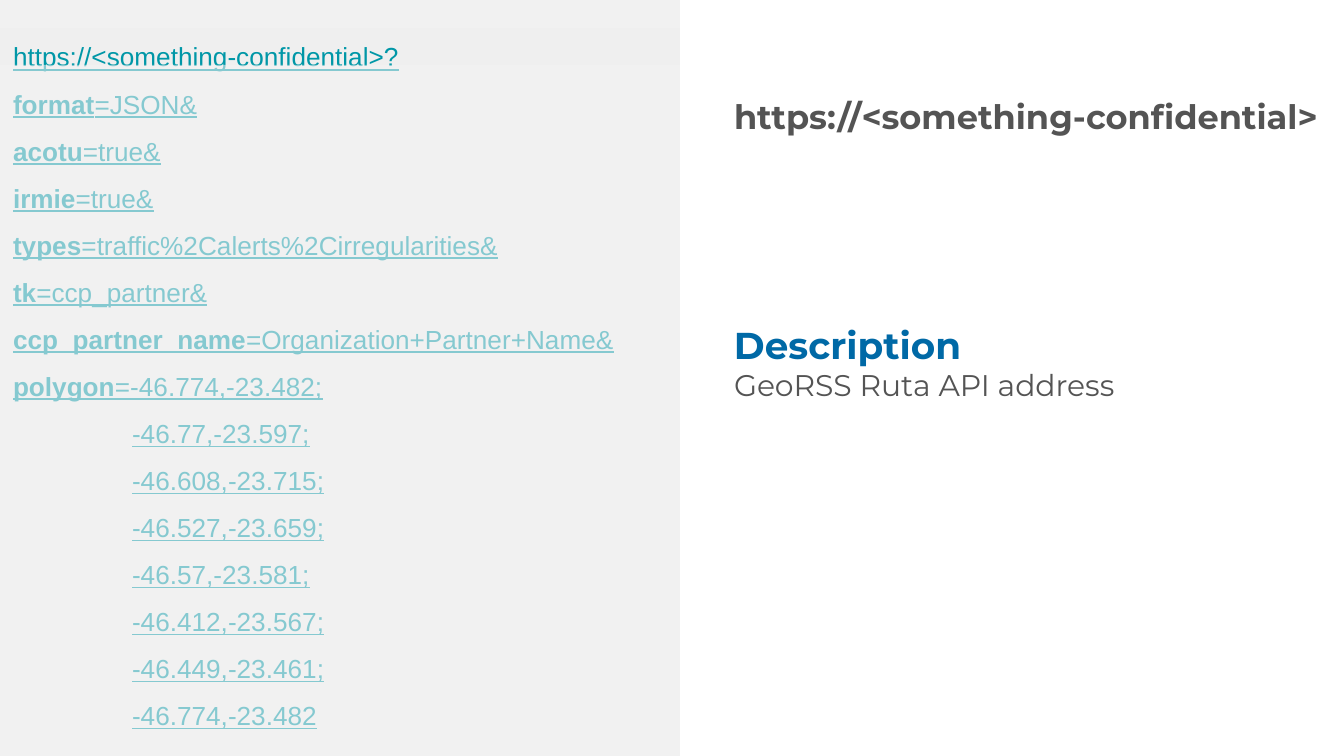
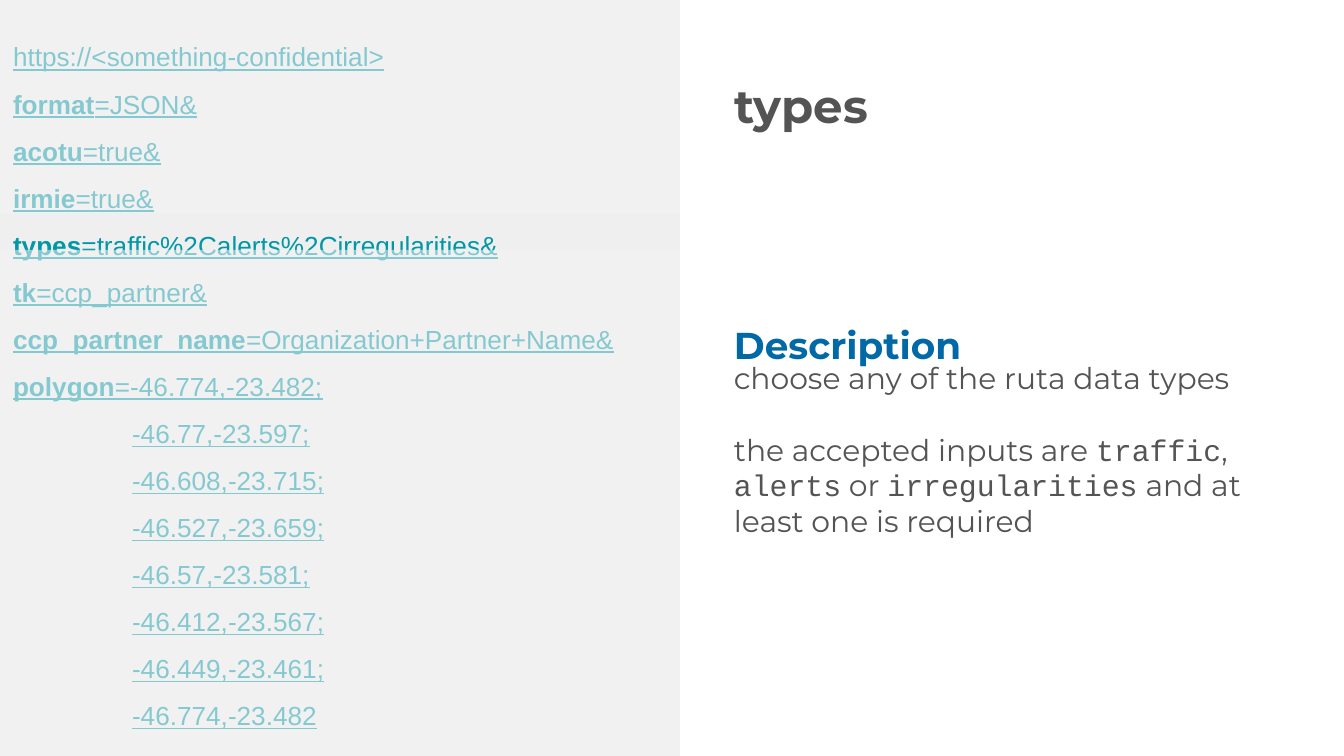
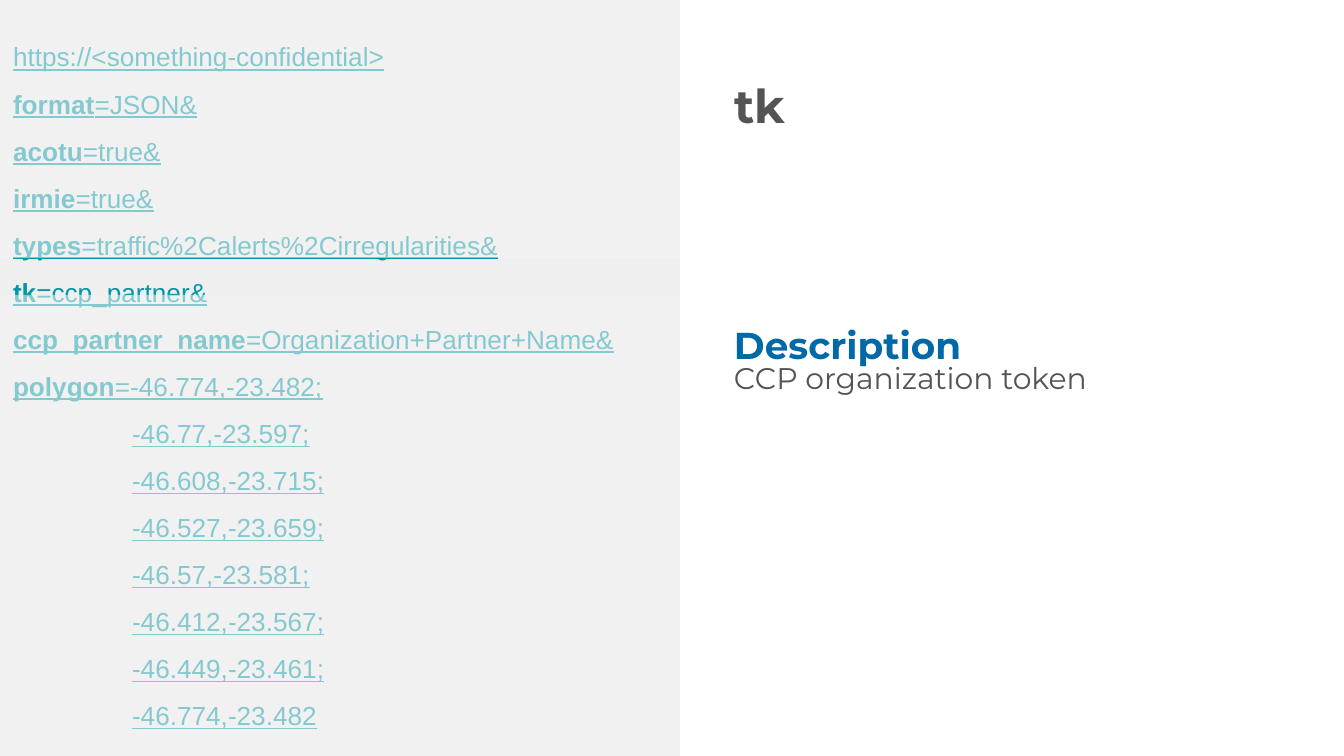
from lxml import etree
from pptx import Presentation, util as u
from pptx.dml.color import RGBColor
from pptx.enum import shapes, text as t
from pptx.oxml.ns import qn

COLORS = {"panel": "EFEFEF", "veil": "F3F3F3", "link": "0097A7",
          "body": "545454", "heading": "0069A6"}
SANS, LINK, CODE = "Montserrat", "Arial", "Courier New"
PAGE_WIDTH, PAGE_HEIGHT = 1344, 756
PANEL = (0, 0, 680, PAGE_HEIGHT)
INSET, POINT_INDENT = 13, 119
WINDOW_HEIGHT, UPPER_VEIL_HEIGHT = 37, 773

PARAMETERS = ["format=JSON&", "acotu=true&", "irmie=true&",
              "types=traffic%2Calerts%2Cirregularities&", "tk=ccp_partner&",
              "ccp_partner_name=Organization+Partner+Name&",
              "polygon=-46.774,-23.482;"]
POINTS = ["-46.77,-23.597;", "-46.608,-23.715;", "-46.527,-23.659;",
          "-46.57,-23.581;", "-46.412,-23.567;", "-46.449,-23.461;",
          "-46.774,-23.482"]
ADDRESS = "https://<something-confidential>"

PAGES = [
    {"address": ADDRESS + "?", "window": 28, "title": ADDRESS,
     "title_size": 18, "title_top": 54, "body_top": 354, "body_size": (569, 117),
     "body": ["GeoRSS Ruta API address"]},
    {"address": ADDRESS, "window": 213, "title": "types",
     "title_size": 25, "title_top": 43, "body_top": 347, "body_size": (594, 352),
     "body": ["choose any of the ruta data types",
              "the accepted inputs are `traffic`, `alerts` or "
              "`irregularities` and at least one is required"]},
    {"address": ADDRESS, "window": 258, "title": "tk",
     "title_size": 25, "title_top": 43, "body_top": 347, "body_size": (594, 352),
     "body": ["CCP organization token"]},
]


def px(length):
    """Turn pixels into EMU."""
    return u.Emu(round(length * 914400 / 134.4))


def add_span(para, text, size=16, font=SANS, color="body", bold=False, underline=False):
    """Add a formatted run to a paragraph."""
    span = para.add_run()
    span.text = text
    span.font.size = u.Pt(size)
    span.font.name = font
    span.font.bold = bold
    span.font.underline = underline
    span.font.color.rgb = RGBColor.from_string(COLORS[color])


def set_frame(shape, anchor=t.MSO_ANCHOR.TOP):
    """Give a shape's text wrapping, equal insets and an anchor."""
    frame = shape.text_frame
    frame.word_wrap = True
    frame.auto_size = t.MSO_AUTO_SIZE.NONE
    frame.vertical_anchor = anchor
    frame.margin_left = frame.margin_right = px(INSET)
    frame.margin_top = frame.margin_bottom = px(INSET)
    return frame


def next_para(frame, index):
    """Return the first paragraph of a frame, or a new one."""
    return frame.add_paragraph() if index else frame.paragraphs[0]


def add_box(page, box):
    """Add a wrapping text box and return its frame."""
    return set_frame(page.shapes.add_textbox(*map(px, box)))


def add_rectangle(page, box, color, opacity=None):
    """Add a flat rectangle without outline."""
    rectangle = page.shapes.add_shape(shapes.MSO_SHAPE.RECTANGLE, *map(px, box))
    rectangle.shadow.inherit = False
    rectangle.line.fill.background()
    rectangle.fill.solid()
    rectangle.fill.fore_color.rgb = RGBColor.from_string(COLORS[color])
    if opacity is not None:
        tint = rectangle.fill._xPr.find(".//" + qn("a:srgbClr"))
        etree.SubElement(tint, qn("a:alpha"), val=str(opacity * 1000))
    return rectangle


def add_request(page, box, address):
    """Add the panel that lists the request line by line."""
    frame = set_frame(add_rectangle(page, box, "panel"), t.MSO_ANCHOR.MIDDLE)
    style = {"size": 14, "font": LINK, "color": "link", "underline": True}
    for index, line in enumerate([address] + PARAMETERS + POINTS):
        para = next_para(frame, index)
        para.alignment = t.PP_ALIGN.JUSTIFY
        para.line_spacing = 1.5
        key, equals, value = line.partition("=")
        add_span(para, key, bold=bool(equals), **style)
        if equals:
            add_span(para, equals + value, **style)
        if line in POINTS:
            para._p.get_or_add_pPr().set("marL", str(px(POINT_INDENT)))


def add_veils(page, box, window):
    """Slide one veil below and one above the line in focus."""
    left, top, width, height = box
    window += top
    add_rectangle(page, (left, window + WINDOW_HEIGHT, width, height), "veil", 55)
    add_rectangle(page, (left, window - UPPER_VEIL_HEIGHT, width, UPPER_VEIL_HEIGHT),
                  "veil", 55)


def add_title(page, box, text, size):
    """Place and format the title placeholder."""
    title = page.shapes.title
    title.left, title.top, title.width, title.height = map(px, box)
    para = set_frame(title, t.MSO_ANCHOR.MIDDLE).paragraphs[0]
    para.alignment = t.PP_ALIGN.LEFT
    add_span(para, text, size=size, bold=True)


def add_description(page, left, body_top, body_size, body):
    """Add the description heading and its paragraphs."""
    heading = add_box(page, (left, 309, 305, 67))
    add_span(heading.paragraphs[0], "Description", size=20, color="heading", bold=True)
    frame = add_box(page, (left, body_top, *body_size))
    for index, text in enumerate(body):
        para = next_para(frame, index)
        if index:
            para.space_before = u.Pt(19)
        for order, part in enumerate(text.split("`")):
            add_span(para, part, font=CODE if order % 2 else SANS)


def add_page(deck, content):
    """Build one slide: request on the left, explanation on the right."""
    page = deck.slides.add_slide(deck.slide_layouts[5])
    left = PANEL[2] + 41
    add_request(page, PANEL, content["address"])
    add_title(page, (left, content["title_top"], PAGE_WIDTH - left, 124),
              content["title"], content["title_size"])
    add_description(page, left, content["body_top"], content["body_size"],
                    content["body"])
    add_veils(page, PANEL, content["window"])


def main():
    """Build and save the deck."""
    deck = Presentation()
    deck.slide_width, deck.slide_height = px(PAGE_WIDTH), px(PAGE_HEIGHT)
    for content in PAGES:
        add_page(deck, content)
    deck.save("out.pptx")


if __name__ == "__main__":
    main()
